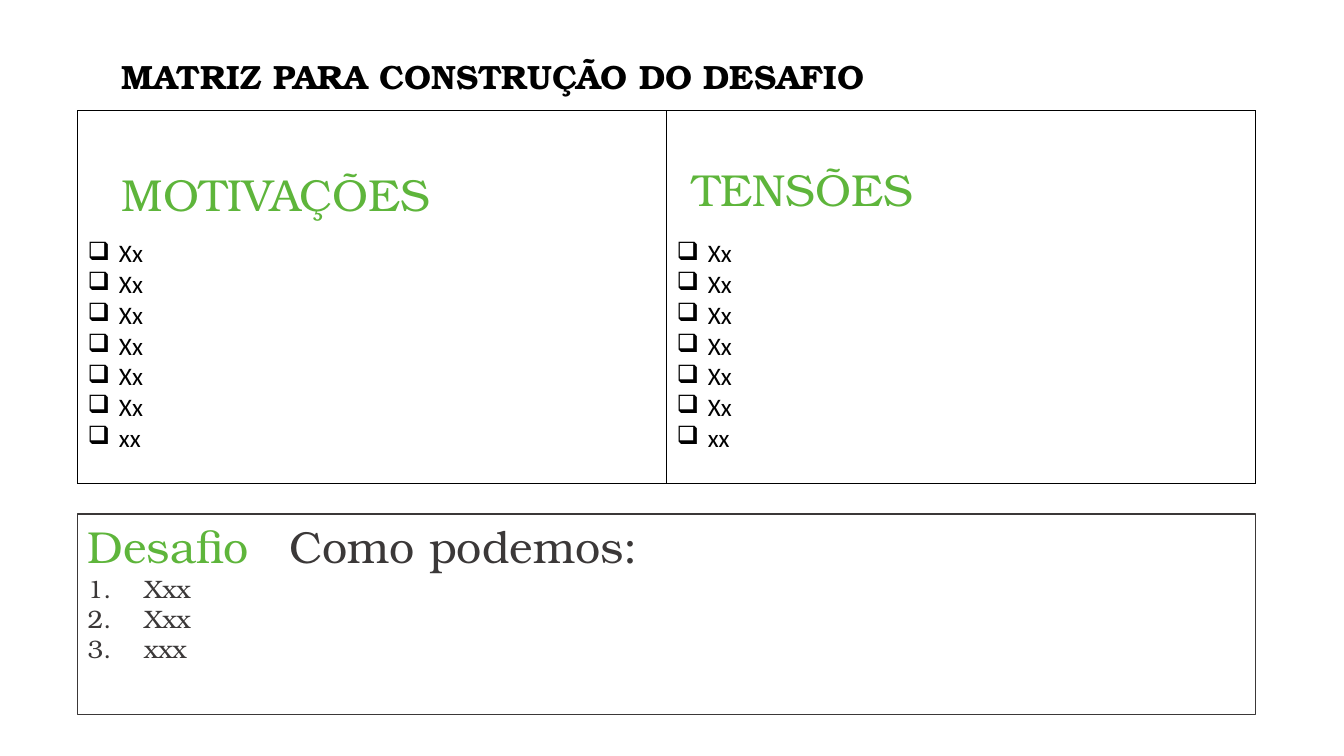
"""Build the challenge matrix slide: two panes of a table above a challenge box."""
from dataclasses import dataclass

from lxml import etree
from pptx import Presentation
from pptx import util as u
from pptx.dml.color import RGBColor
from pptx.enum import shapes, text
from pptx.oxml import ns

PX = 9144
SERIF = "TeX Gyre Bonum"
SANS = "Calibri"
BLACK = RGBColor(0x00, 0x00, 0x00)
WHITE = RGBColor(0xFF, 0xFF, 0xFF)
GREEN = RGBColor(0x5E, 0xB5, 0x3B)
GRAY = RGBColor(0x3B, 0x38, 0x38)


@dataclass(frozen=True)
class Box:
    left: int
    top: int
    width: int
    height: int

    def emu(self) -> tuple[int, ...]:
        return tuple(n * PX for n in (self.left, self.top, self.width, self.height))


@dataclass(frozen=True)
class Pane:
    title: str
    box: Box
    items: tuple[str, ...]


MARKS = ("Xx",) * 6 + ("xx",)
PANES = (
    Pane("MOTIVAÇÕES", Box(111, 161, 456, 63), MARKS),
    Pane("TENSÕES", Box(677, 156, 441, 63), MARKS),
)
HEAD = Box(111, 50, 854, 50)
GRID = Box(77, 110, 1168, 370)
GOAL = Box(77, 510, 1168, 199)
STEPS = ("Xxx", "Xxx", "xxx")


def style(para, size: int, color: RGBColor, face: str = SERIF, bold: bool = False) -> None:
    para.alignment = text.PP_ALIGN.LEFT
    para.space_before = u.Pt(0)
    for run in para.runs:
        run.font.name, run.font.size, run.font.bold = face, u.Pt(size), bold
        run.font.color.rgb = color


def add(node, tag: str, **attrs):
    return etree.SubElement(node, ns.qn(tag), {k: str(v) for k, v in attrs.items()})


def bullet(para, indent: int, tag: str, **attrs):
    props = para._p.get_or_add_pPr()
    props.set("marL", str(indent * PX))
    props.set("indent", str(-indent * PX))
    add(props, tag, **attrs)
    return props


def place(shape, box: Box) -> None:
    shape.left, shape.top, shape.width, shape.height = box.emu()


def fill(shape) -> None:
    shape.fill.solid()
    shape.fill.fore_color.rgb = WHITE


def draw_title(shape) -> None:
    place(shape, HEAD)
    frame = shape.text_frame
    frame.text = "MATRIZ PARA CONSTRUÇÃO DO DESAFIO"
    frame.vertical_anchor = text.MSO_ANCHOR.TOP
    frame.auto_size = text.MSO_AUTO_SIZE.NONE
    style(frame.paragraphs[0], 24, BLACK, bold=True)


def draw_label(slide, pane: Pane) -> None:
    shape = slide.shapes.add_shape(shapes.MSO_SHAPE.RECTANGLE, *pane.box.emu())
    shape.shadow.inherit = False
    fill(shape)
    shape.line.fill.background()
    shape.text_frame.text = pane.title
    style(shape.text_frame.paragraphs[0], 32, GREEN)


def draw_goal(shape) -> None:
    place(shape, GOAL)
    fill(shape)
    shape.line.color.rgb = GRAY
    shape.line.width = u.Pt(1)
    frame = shape.text_frame
    frame.text = "\n".join(("Desafio\t", *STEPS))
    frame.vertical_anchor = text.MSO_ANCHOR.TOP
    frame.auto_size = text.MSO_AUTO_SIZE.NONE
    lead, *steps = frame.paragraphs
    lead.add_run().text = "Como podemos:"
    style(lead, 32, GREEN)
    lead.runs[1].font.color.rgb = GRAY
    props = bullet(lead, 0, "a:buNone")
    add(add(props, "a:tabLst"), "a:tab", pos=201 * PX, algn="l")
    for step in steps:
        style(step, 18, GRAY)
        props = bullet(step, 56, "a:buFont", typeface="+mj-lt")
        add(props, "a:buAutoNum", type="arabicPeriod")


def draw_cell(cell, items: tuple[str, ...]) -> None:
    cell.margin_top = 127 * PX
    cell.text_frame.text = "\n".join(items)
    for para in cell.text_frame.paragraphs:
        style(para, 18, BLACK, SANS)
        bullet(para, 31, "a:buChar", char="❑")
    props = cell._tc.get_or_add_tcPr()
    for side in "LRTB":
        line = add(props, f"a:ln{side}", w=u.Pt(1))
        add(add(line, "a:solidFill"), "a:srgbClr", val=BLACK)
    cell.fill.background()


def draw_grid(slide) -> None:
    table = slide.shapes.add_table(1, len(PANES), *GRID.emu()).table
    table.first_row = table.horz_banding = False
    for col, pane in enumerate(PANES):
        draw_cell(table.cell(0, col), pane.items)


def main() -> None:
    deck = Presentation()
    deck.slide_width, deck.slide_height = 1333 * PX, 750 * PX
    slide = deck.slides.add_slide(deck.slide_layouts[1])
    draw_title(slide.shapes.title)
    draw_goal(slide.placeholders[1])
    for pane in PANES:
        draw_label(slide, pane)
    draw_grid(slide)
    deck.save("out.pptx")


if __name__ == "__main__":
    main()
